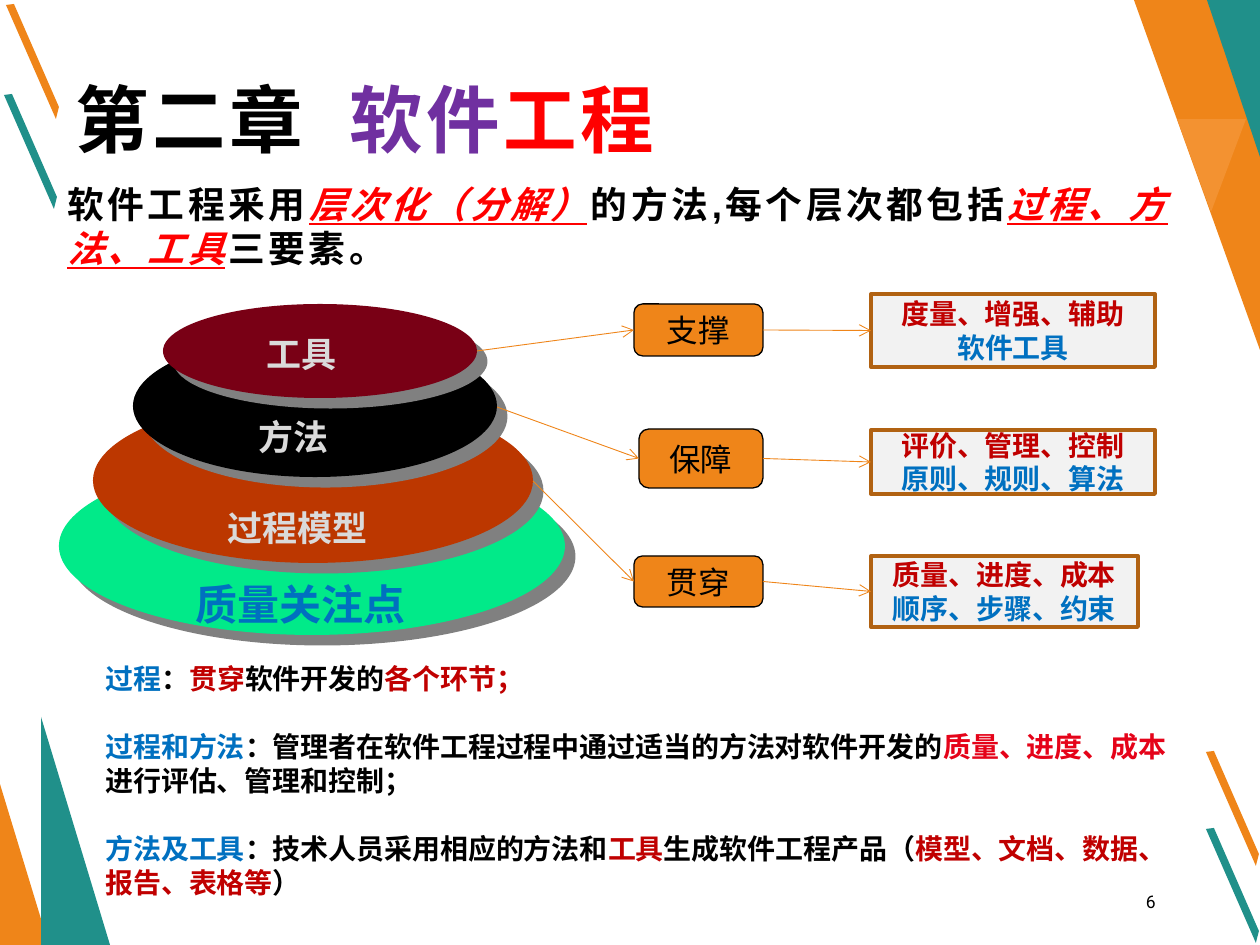
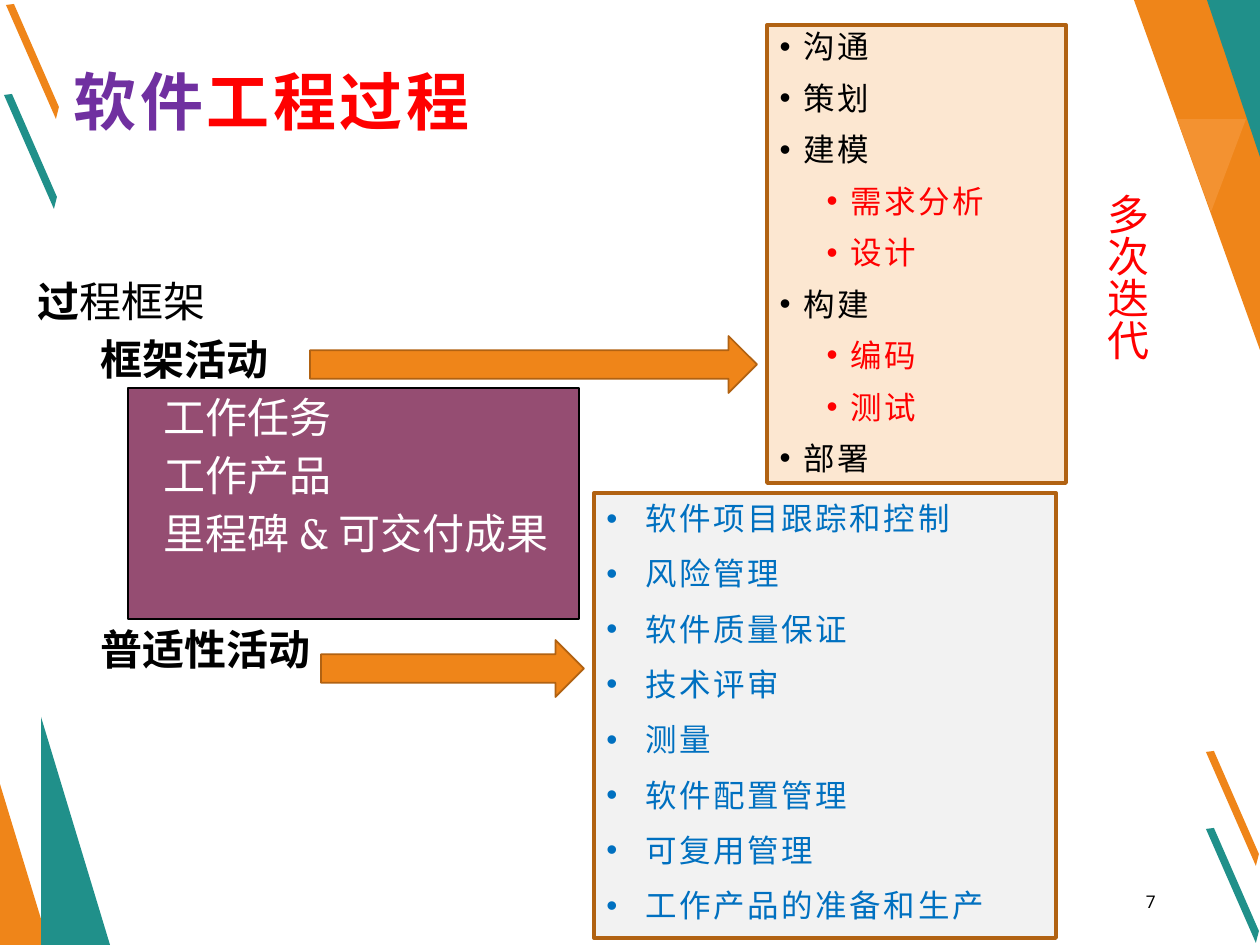
from dataclasses import dataclass

from lxml import etree
from pptx import Presentation
from pptx import util as u
from pptx.dml.color import RGBColor
from pptx.enum import shapes, text
from pptx.oxml.ns import qn


@dataclass(frozen=True)
class Theme:
    orange: str = "EF8519"
    light_orange: str = "F39231"
    brown: str = "B16212"
    teal: str = "20908A"
    purple: str = "7030A0"
    plum: str = "954D72"
    red: str = "FF0000"
    dark_red: str = "C00000"
    crimson: str = "E50319"
    blue: str = "0070C0"
    black: str = "000000"
    white: str = "FFFFFF"
    pale: str = "F2F2F2"
    cream: str = "FCE7D1"
    silver: str = "DADADA"
    shadow: str = "808080"
    green: str = "01EA89"
    rust: str = "BC3700"
    maroon: str = "790015"
    cjk: str = "Noto Sans CJK SC"
    sans: str = "Arial"
    number_font: str = "Roboto"
    serif: str = "Vollkorn"
    chapter: int = 42
    title: int = 36
    large: int = 24
    lead: int = 21
    layer: int = 20
    item: int = 18
    note: int = 16
    number: int = 10


T = Theme()
PX = u.Inches(1) / 126
UNPLACED = (0, 0, 0, 0)
KIND = shapes.MSO_SHAPE
LEFT, CENTER, RIGHT = text.PP_ALIGN.LEFT, text.PP_ALIGN.CENTER, text.PP_ALIGN.RIGHT
TOP, MIDDLE = text.MSO_ANCHOR.TOP, text.MSO_ANCHOR.MIDDLE


def place(shape, box=None, fill=None, line=None, weight=0.75):
    """Set a shape's box in px, its flat fill and its outline."""
    if box:
        shape.left, shape.top, shape.width, shape.height = [round(n * PX) for n in box]
    if fill:
        shape.shadow.inherit = False
        shape.fill.solid()
        shape.fill.fore_color.rgb = RGBColor.from_string(fill)
        if line:
            shape.line.color.rgb = RGBColor.from_string(line)
            shape.line.width = u.Pt(weight)
        else:
            shape.line.fill.background()
    return shape


def write(shape, paragraphs, size, font=T.cjk, bold=False, spacing=0, align=LEFT,
          anchor=TOP, leading=1.2, after=0, wrap=True):
    """Fill a shape; a run is (text, colour, style letters b, i, u)."""
    frame = shape.text_frame
    frame.auto_size = text.MSO_AUTO_SIZE.NONE
    frame.word_wrap = wrap
    frame.vertical_anchor = anchor
    for index, runs in enumerate(paragraphs):
        paragraph = frame.add_paragraph() if index else frame.paragraphs[0]
        paragraph.alignment = align
        paragraph.line_spacing = u.Pt(round(size * leading, 1))
        paragraph.space_before = u.Pt(0)
        paragraph.space_after = u.Pt(after)
        for words, colour, *style in runs:
            run = paragraph.add_run()
            run.text = words
            run.font.size = u.Pt(size)
            run.font.name = font
            run.font.bold = bold or "b" in style
            run.font.italic = "i" in style
            run.font.underline = "u" in style
            run.font.color.rgb = RGBColor.from_string(colour)
            properties = run.font._element
            properties.set("spc", str(round(spacing * 100)))
            latin = properties.find(qn("a:latin"))
            east_asian = etree.Element(qn("a:ea"), typeface=T.cjk)
            latin.addnext(east_asian)
    return shape


prs = Presentation()
prs.slide_width, prs.slide_height = u.Inches(10), u.Inches(7.5)
layers_slide = prs.slides.add_slide(prs.slide_layouts[5])
process_slide = prs.slides.add_slide(prs.slide_layouts[1])

# Master decoration: four slanted strokes and the corner wedges
slash = [(0, 0), (8, -1), (53, 102), (50, 114)]
slash_origins = [(1206, 752, T.orange), (4, 95, T.teal), (6, 5, T.orange), (1206, 829, T.teal)]
ornaments = [(colour, [(x + dx, y + dy) for dx, dy in slash]) for x, y, colour in slash_origins]
ornaments += [
    (T.orange, [(1134, 0), (1260, 0), (1260, 350)]),
    (T.teal, [(1207, 0), (1260, 0), (1260, 157)]),
    (T.light_orange, [(1246, 119), (1211, 212), (1177, 119)]),
    (T.orange, [(0, 784), (49, 945), (0, 945)]),
    (T.teal, [(41, 717), (110, 945), (41, 945)]),
]
master_tree = prs.slide_master.shapes.element
for index, (colour, points) in enumerate(ornaments):
    builder = layers_slide.shapes.build_freeform(*points[0], scale=PX)
    builder.add_line_segments(points[1:], close=True)
    ornament = place(builder.convert_to_shape(), fill=colour).element
    ornament.find(".//" + qn("p:cNvPr")).set("id", str(100 + index))
    master_tree.insert(2 + index, ornament)

for number, slide in enumerate(prs.slides, start=6):
    page_number = place(slide.shapes.add_textbox(*UNPLACED), (890, 880, 278, 44))
    write(page_number, [[(str(number), T.black)]], T.number, T.number_font,
          align=RIGHT, anchor=MIDDLE)

# Slide 6: layers of software engineering
on_layers = layers_slide.shapes
chapter = place(on_layers.title, (63, 24, 1134, 189))
write(chapter, [[("第二章", T.black), (" ", T.black), ("软件", T.purple), ("工程", T.red)]],
      T.chapter, bold=True, spacing=2, anchor=MIDDLE)
chapter.text_frame.paragraphs[0].runs[1].font._element.set("spc", "1500")

lead = place(on_layers.add_textbox(*UNPLACED), (55, 178, 1150, 96))
write(lead, [[("软件工程釆用", T.black), ("层次化（分解）", T.red, "i", "u"),
              ("的方法,每个层次都包括", T.black), ("过程、方法、工具", T.red, "i", "u"),
              ("三要素。", T.black)]],
      T.lead, T.sans, bold=True, spacing=2, anchor=MIDDLE)

layers = [
    ((59, 457, 506, 178), T.green, "质量关注点", (301, 604), T.large, T.blue, T.cjk),
    ((93, 398, 440, 165), T.rust, "过程模型", (298, 528), T.layer, T.silver, T.serif),
    ((133, 335, 364, 142), T.black, "方法", (294, 437), T.layer, T.silver, T.serif),
    ((163, 304, 314, 94), T.maroon, "工具", (302, 354), T.layer, T.silver, T.serif),
]
for box, fill, *_ in layers:
    disc = place(on_layers.add_shape(KIND.OVAL, *UNPLACED), box, fill)
    effects = disc.element.spPr.find(qn("a:effectLst"))
    cast = etree.SubElement(effects, qn("a:outerShdw"), dist=str(u.Pt(8.5)),
                            dir="2700000", algn="ctr", rotWithShape="0")
    etree.SubElement(cast, qn("a:srgbClr"), val=T.shadow)
for _, _, name, (x, y), size, colour, font in layers:
    label = place(on_layers.add_textbox(*UNPLACED), (x - 150, y - 32, 300, 64))
    write(label, [[(name, colour)]], size, font, bold=True, align=CENTER, anchor=MIDDLE)

roles = [
    ((477, 351), "支撑", (634, 304, 129, 52), (871, 294, 284, 73), "度量、增强、辅助", "软件工具"),
    ((497, 407), "保障", (639, 429, 124, 59), (871, 430, 284, 64), "评价、管理、控制", "原则、规则、算法"),
    ((533, 481), "贯穿", (634, 556, 129, 51), (871, 556, 267, 71), "质量、进度、成本", "顺序、步骤、约束"),
]
for layer_edge, role, role_box, detail_box, aims, means in roles:
    role_pill = place(on_layers.add_shape(KIND.ROUNDED_RECTANGLE, *UNPLACED),
                      role_box, T.orange, T.black)
    write(role_pill, [[(role, T.black)]], T.item, T.sans, align=CENTER, anchor=MIDDLE)
    detail = place(on_layers.add_shape(KIND.RECTANGLE, *UNPLACED),
                   detail_box, T.pale, T.brown, 2.25)
    write(detail, [[(aims, T.dark_red)], [(means, T.blue)]], T.note, bold=True,
          align=CENTER, anchor=MIDDLE, wrap=False)
    x, y = [round(n * PX) for n in layer_edge]
    from_layer = on_layers.add_connector(shapes.MSO_CONNECTOR.STRAIGHT, x, y, x, y)
    from_layer.end_connect(role_pill, 1)
    to_detail = on_layers.add_connector(shapes.MSO_CONNECTOR.STRAIGHT, *UNPLACED)
    to_detail.begin_connect(role_pill, 3)
    to_detail.end_connect(detail, 1)
    for link in (from_layer, to_detail):
        link.line.color.rgb = RGBColor.from_string(T.orange)
        link.line.width = u.Pt(0.5)
        properties = link.element.spPr
        etree.SubElement(properties.find(qn("a:ln")), qn("a:tailEnd"), type="arrow")
        etree.SubElement(properties, qn("a:effectLst"))

summary = place(on_layers.add_textbox(*UNPLACED), (93, 655, 1111, 253))
write(summary, [
    [("过程", T.blue), ("：", T.black), ("贯穿", T.dark_red), ("软件开发的", T.black),
     ("各个环节；", T.dark_red)],
    [("过程和方法", T.blue), ("：管理者在软件工程过程中通过适当的方法对软件开发的", T.black),
     ("质量、进度、成本", T.crimson), ("进行评估、管理和控制；", T.black)],
    [("方法及工具", T.blue), ("：技术人员采用相应的方法和", T.black), ("工具", T.dark_red),
     ("生成软件工程产品（", T.black), ("模型、文档、数据、报告、表格等", T.dark_red),
     ("）", T.black)],
], T.note, bold=True, after=20)

# Slide 7: the software process
on_process = process_slide.shapes
heading = place(on_process.title, (61, 50, 674, 100))
write(heading, [[("软件", T.purple), ("工程过程", T.red)]], T.title,
      bold=True, spacing=2, anchor=MIDDLE)

place(on_process.add_shape(KIND.RECTANGLE, *UNPLACED), (128, 388, 451, 231), T.plum, T.black)
framework = place(on_process.add_textbox(*UNPLACED), (25, 262, 541, 480))
outline = [
    (0, [("过", T.black, "b"), ("程框架", T.black)]),
    (1, [("框架活动", T.black, "b")]),
    (2, [("工作任务", T.white)]),
    (2, [("工作产品", T.white)]),
    (2, [("里程碑 & 可交付成果", T.white)]),
    (1, [("普适性活动", T.black, "b")]),
]
write(framework, [runs for _, runs in outline], T.large, T.serif, leading=1.38)
for paragraph, (level, _) in zip(framework.text_frame.paragraphs, outline):
    paragraph.level = level
    paragraph._p.get_or_add_pPr().set("marL", str(u.Inches(level / 2)))
framework.text_frame.paragraphs[-1].space_before = u.Pt(33)

activities = [(0, "沟通"), (0, "策划"), (0, "建模"), (1, "需求分析"), (1, "设计"),
              (0, "构建"), (1, "编码"), (1, "测试"), (0, "部署")]
umbrella = ["软件项目跟踪和控制", "风险管理", "软件质量保证", "技术评审", "测量",
            "软件配置管理", "可复用管理", "工作产品的准备和生产"]
activity_list = place(process_slide.placeholders[1], (767, 25, 299, 458), T.cream, T.brown, 2.25)
write(activity_list, [[(name, T.red if level else T.black)] for level, name in activities],
      T.item, spacing=1.5, leading=1.08, after=10)
umbrella_list = place(on_process.add_shape(KIND.RECTANGLE, *UNPLACED),
                      (594, 493, 462, 445), T.pale, T.brown, 2.25)
write(umbrella_list, [[(name, T.blue)] for name in umbrella], T.item, spacing=1.5, after=10)

bulleted = [(activity_list, [level for level, _ in activities], 24),
            (umbrella_list, [0] * len(umbrella), 39)]
for listing, levels, hang in bulleted:
    for paragraph, level in zip(listing.text_frame.paragraphs, levels):
        paragraph.level = level
        properties = paragraph._p.get_or_add_pPr()
        properties.set("marL", str(round((hang + 47 * level) * PX)))
        properties.set("indent", str(round(-hang * PX)))
        etree.SubElement(properties, qn("a:buFont"), typeface=T.sans)
        etree.SubElement(properties, qn("a:buChar"), char="•")

for arrow_box in [(321, 640, 263, 57), (310, 336, 447, 57)]:
    place(on_process.add_shape(KIND.RIGHT_ARROW, *UNPLACED), arrow_box, T.orange, T.brown, 1)

iteration = place(on_process.add_textbox(*UNPLACED), (1082, 181, 76, 188))
write(iteration, [[("多次迭代", T.red)]], T.large, T.number_font, wrap=False)
iteration.text_frame._txBody.bodyPr.set("vert", "eaVert")

prs.save("out.pptx")
